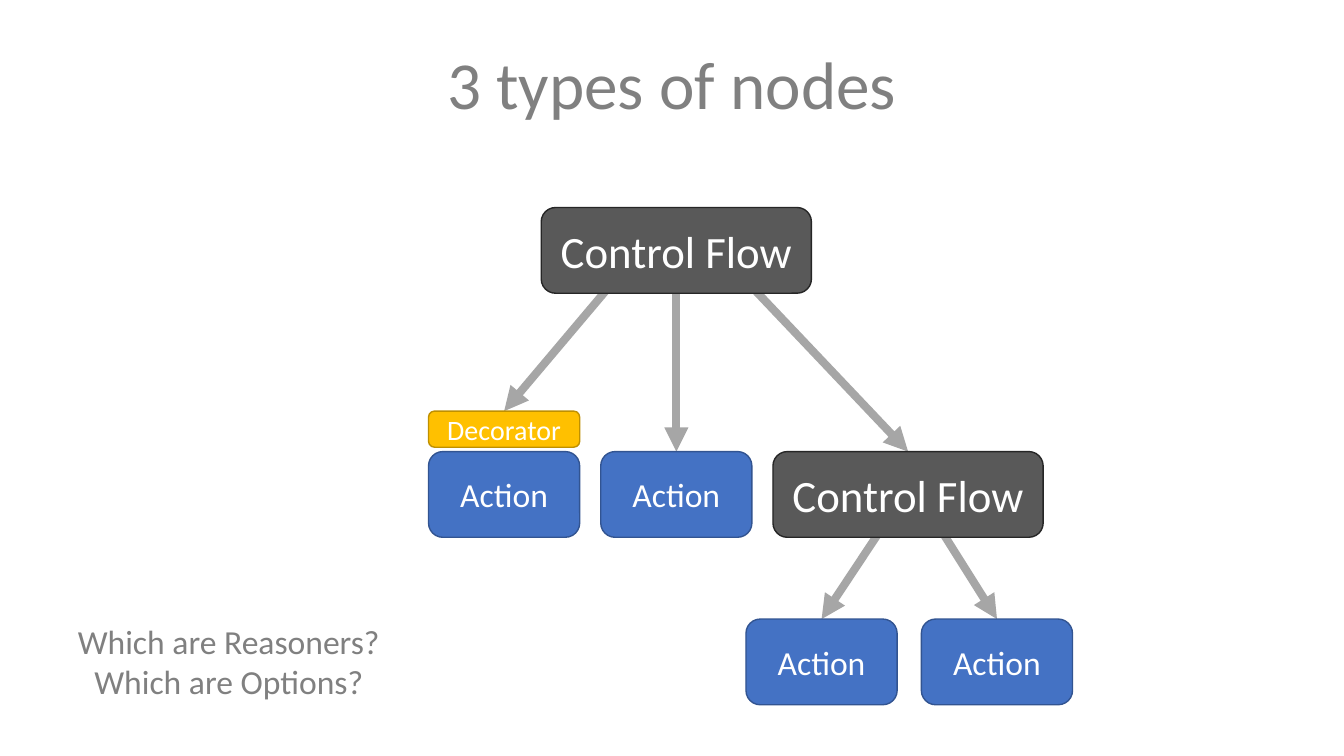
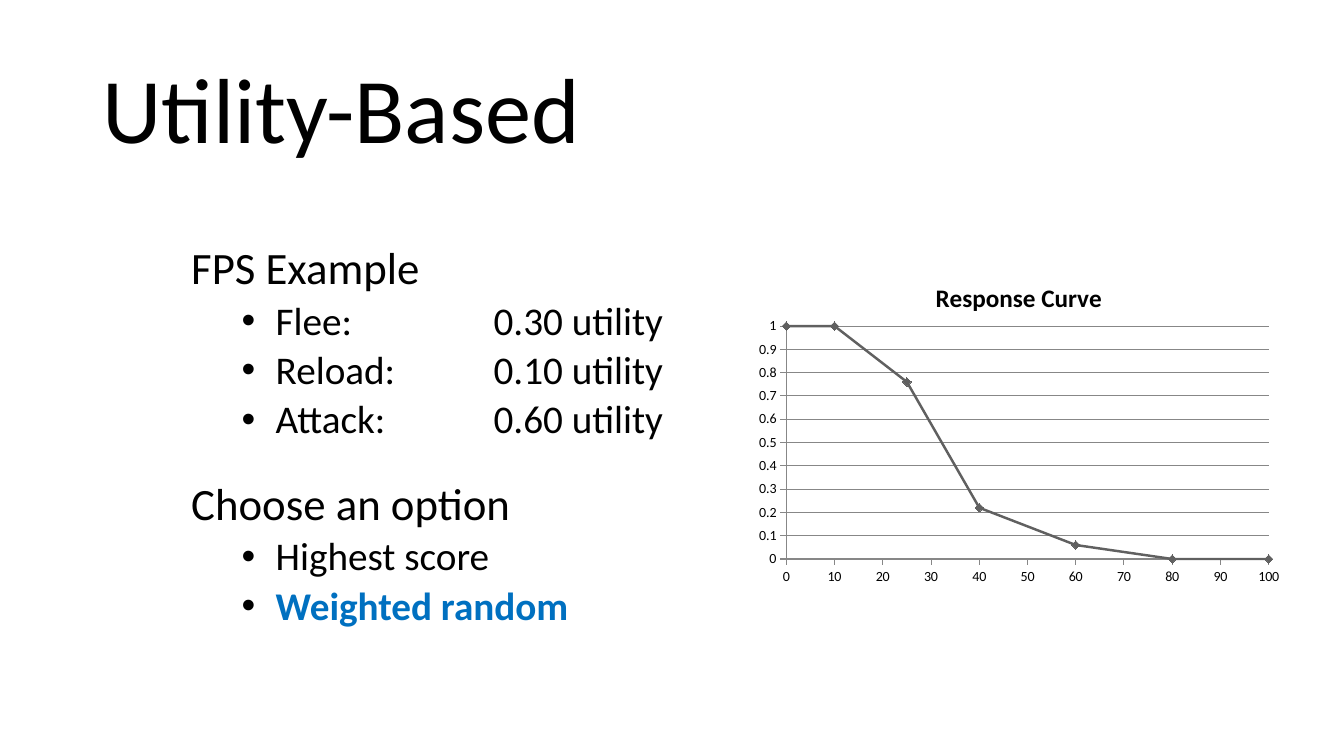
from lxml.etree import SubElement
from pptx import Presentation
from pptx.chart.data import XyChartData
from pptx.dml.color import RGBColor
from pptx.enum.chart import XL_CHART_TYPE as ChartType, XL_MARKER_STYLE as Marker, XL_TICK_MARK as Tick
from pptx.enum.shapes import MSO_CONNECTOR as Connector, MSO_SHAPE as Shape
from pptx.enum.text import MSO_ANCHOR as Anchor, PP_ALIGN as Align
from pptx.oxml.ns import qn
from pptx.util import Cm, Pt

# Shared style
FONT = "Calibri"
WHITE, BLACK, GREY, BLUE = "FFFFFF", "000000", "808080", "0070C0"
ARROW, CURVE, GRID = "A6A6A6", "606060", "878787"

# Slide 1 content: lengths in cm
NODE_STYLES = {  # kind: label, width, height, text size, fill, line
    "control": ("Control Flow", 6.81, 2.16, 32, "595959", "262626"),
    "action": ("Action", 3.81, 2.16, 24, "4472C4", "325491"),
    "decorator": ("Decorator", 3.81, 0.91, 20, "FFC000", "BF9000"),
}
NODES = {  # name: kind, left, top
    "root": ("control", 13.64, 5.23),
    "decorator": ("decorator", 10.8, 10.36),
    "decorated action": ("action", 10.8, 11.38),
    "plain action": ("action", 15.14, 11.38),
    "branch": ("control", 19.48, 11.38),
    "left leaf": ("action", 18.8, 15.6),
    "right leaf": ("action", 23.22, 15.6),
}
ARROWS = [  # parent, child, start offset from the parent's top centre
    ("root", "decorator", -0.43, 0.5),
    ("root", "plain action", 0, 0.5),
    ("root", "branch", 0.48, 0.5),
    ("branch", "left leaf", -0.41, 1.55),
    ("branch", "right leaf", 0.56, 1.55),
]
QUESTIONS = ["Which are Reasoners?", "Which are Options?"]

# Slide 2 content
HEADING = {"size": 32, "color": BLACK}
ITEM = {"size": 28, "color": BLACK}
CHOSEN = {"size": 28, "color": BLUE, "bold": True}
OUTLINE = [  # text, style, space before
    ("FPS Example", HEADING, 0),
    ("Flee:\t0.30 utility", ITEM, 5),
    ("Reload:\t0.10 utility", ITEM, 5),
    ("Attack:\t0.60 utility", ITEM, 5),
    ("Choose an option", HEADING, 28),
    ("Highest score", ITEM, 5),
    ("Weighted random", CHOSEN, 5),
]
RESPONSE = [(0, 1), (10, 1), (25, 0.76), (40, 0.22), (60, 0.06), (80, 0), (100, 0)]


def rgb(value):
    return RGBColor.from_string(value)


def set_font(font, size, color, bold=False):
    values = {"name": FONT, "size": Pt(size), "bold": bold}
    for name, value in values.items():
        setattr(font, name, value)
    font.color.rgb = rgb(color)


def write(paragraph, text, **style):
    run = paragraph.add_run()
    run.text = text
    set_font(run.font, **style)


def add_text(slide, box, lines, align=Align.LEFT, anchor=Anchor.TOP, spacing=1.0):
    """Add a text box; each line is (text, style, space before)."""
    frame = slide.shapes.add_textbox(*map(Cm, box)).text_frame
    frame.word_wrap = True
    frame.vertical_anchor = anchor
    for index, (text, style, before) in enumerate(lines):
        paragraph = frame.paragraphs[0] if index == 0 else frame.add_paragraph()
        values = {"alignment": align, "line_spacing": spacing, "space_before": Pt(before)}
        for name, value in values.items():
            setattr(paragraph, name, value)
        write(paragraph, text, **style)
    return frame


def add_bullet(paragraph):
    properties = paragraph._p.get_or_add_pPr()
    properties.set("marL", str(Cm(2.13)))
    properties.set("indent", str(-Cm(0.86)))
    color = SubElement(properties, qn("a:buClr"))
    SubElement(color, qn("a:srgbClr"), val=BLACK)
    SubElement(properties, qn("a:buFont"), typeface="Arial")
    SubElement(properties, qn("a:buChar"), char="•")
    tabs = SubElement(properties, qn("a:tabLst"))
    SubElement(tabs, qn("a:tab"), pos=str(Cm(7.62)), algn="l")


def add_arrow(slide, start, end):
    connector = slide.shapes.add_connector(Connector.STRAIGHT, *map(Cm, start + end))
    connector.line.color.rgb = rgb(ARROW)
    connector.line.width = Pt(5.75)
    SubElement(connector.line._get_or_add_ln(), qn("a:tailEnd"), type="triangle")
    SubElement(connector._element.spPr, qn("a:effectLst"))


def add_node(slide, kind, left, top):
    label, width, height, size, fill, line = NODE_STYLES[kind]
    shape = slide.shapes.add_shape(Shape.ROUNDED_RECTANGLE, *map(Cm, (left, top, width, height)))
    shape.shadow.inherit = False
    shape.fill.solid()
    shape.fill.fore_color.rgb = rgb(fill)
    shape.line.color.rgb = rgb(line)
    shape.line.width = Pt(1)
    frame = shape.text_frame
    frame.vertical_anchor = Anchor.MIDDLE
    frame.paragraphs[0].alignment = Align.CENTER
    write(frame.paragraphs[0], label, size=size, color=WHITE)


def top_centre(name):
    kind, left, top = NODES[name]
    return left + NODE_STYLES[kind][1] / 2, top


def place(parent, position, **values):
    """Give a chart part a manual layout, as fractions of the chart."""
    for old in parent.findall(qn("c:layout")):
        parent.remove(old)
    layout = parent.makeelement(qn("c:layout"))
    parent.insert(position, layout)
    manual = SubElement(layout, qn("c:manualLayout"))
    for name, value in values.items():
        SubElement(manual, qn("c:" + name), val=str(value))


def add_response_chart(slide):
    data = XyChartData()
    points = data.add_series("Series 1")
    for x, y in RESPONSE:
        points.add_data_point(x, y)
    box = map(Cm, (18.87, 6.43, 13.51, 8.51))
    chart = slide.shapes.add_chart(ChartType.XY_SCATTER_LINES, *box, data).chart
    set_font(chart.font, 10, BLACK)
    chart.has_legend = False
    chart.has_title = True
    write(chart.chart_title.text_frame.paragraphs[0], "Response Curve", size=18, color=BLACK, bold=True)

    # Curve
    plot = chart.plots[0]
    plot.vary_by_categories = False
    series = plot.series[0]
    series.smooth = False
    series.format.line.color.rgb = rgb(CURVE)
    series.format.line.width = Pt(1.75)
    series.marker.style = Marker.DIAMOND
    series.marker.size = 6
    series.marker.format.fill.solid()
    series.marker.format.fill.fore_color.rgb = rgb(CURVE)
    series.marker.format.line.color.rgb = rgb(CURVE)

    # Axes
    for axis, maximum, unit in ((chart.category_axis, 100, 10), (chart.value_axis, 1, 0.1)):
        values = {
            "minimum_scale": 0, "maximum_scale": maximum, "major_unit": unit,
            "major_tick_mark": Tick.OUTSIDE, "minor_tick_mark": Tick.NONE,
            "has_major_gridlines": axis is not chart.category_axis and maximum == 1,
        }
        for name, value in values.items():
            setattr(axis, name, value)
        axis.tick_labels.number_format = "General"
        axis.tick_labels.number_format_is_linked = False
        axis.format.line.color.rgb = rgb(GRID)
    chart.value_axis.major_gridlines.format.line.color.rgb = rgb(GRID)

    # Title and plot positions
    place(chart.chart_title._element, 1, xMode="edge", yMode="edge", x=0.34, y=0.06)
    place(plot._element.getparent(), 0, layoutTarget="inner", xMode="edge", yMode="edge",
          x=0.07, y=0.21, w=0.9, h=0.69)


def build_node_slide(slide):
    for parent, child, shift_x, shift_y in ARROWS:
        x, y = top_centre(parent)
        add_arrow(slide, (x + shift_x, y + shift_y), top_centre(child))
    for node in NODES.values():
        add_node(slide, *node)
    title = [("3 types of nodes", {"size": 48, "color": GREY}, 0)]
    add_text(slide, (0, 0.94, 33.87, 2.31), title, Align.CENTER)
    questions = [(text, {"size": 24, "color": GREY}, 0) for text in QUESTIONS]
    add_text(slide, (1.14, 15.52, 9.25, 2.31), questions, Align.CENTER)


def build_utility_slide(slide):
    title = [("Utility-Based", {"size": 66, "color": BLACK}, 0)]
    add_text(slide, (2.34, 1.02, 29.21, 3.68), title, anchor=Anchor.MIDDLE, spacing=0.9)
    frame = add_text(slide, (4.57, 6.07, 14, 11.3), OUTLINE, spacing=0.9)
    for paragraph, (_, style, _) in zip(frame.paragraphs, OUTLINE):
        if style is not HEADING:
            add_bullet(paragraph)
    add_response_chart(slide)


def main():
    presentation = Presentation()
    presentation.slide_width, presentation.slide_height = Cm(33.87), Cm(19.05)
    for build in (build_node_slide, build_utility_slide):
        build(presentation.slides.add_slide(presentation.slide_layouts[6]))
    presentation.save("out.pptx")


if __name__ == "__main__":
    main()
